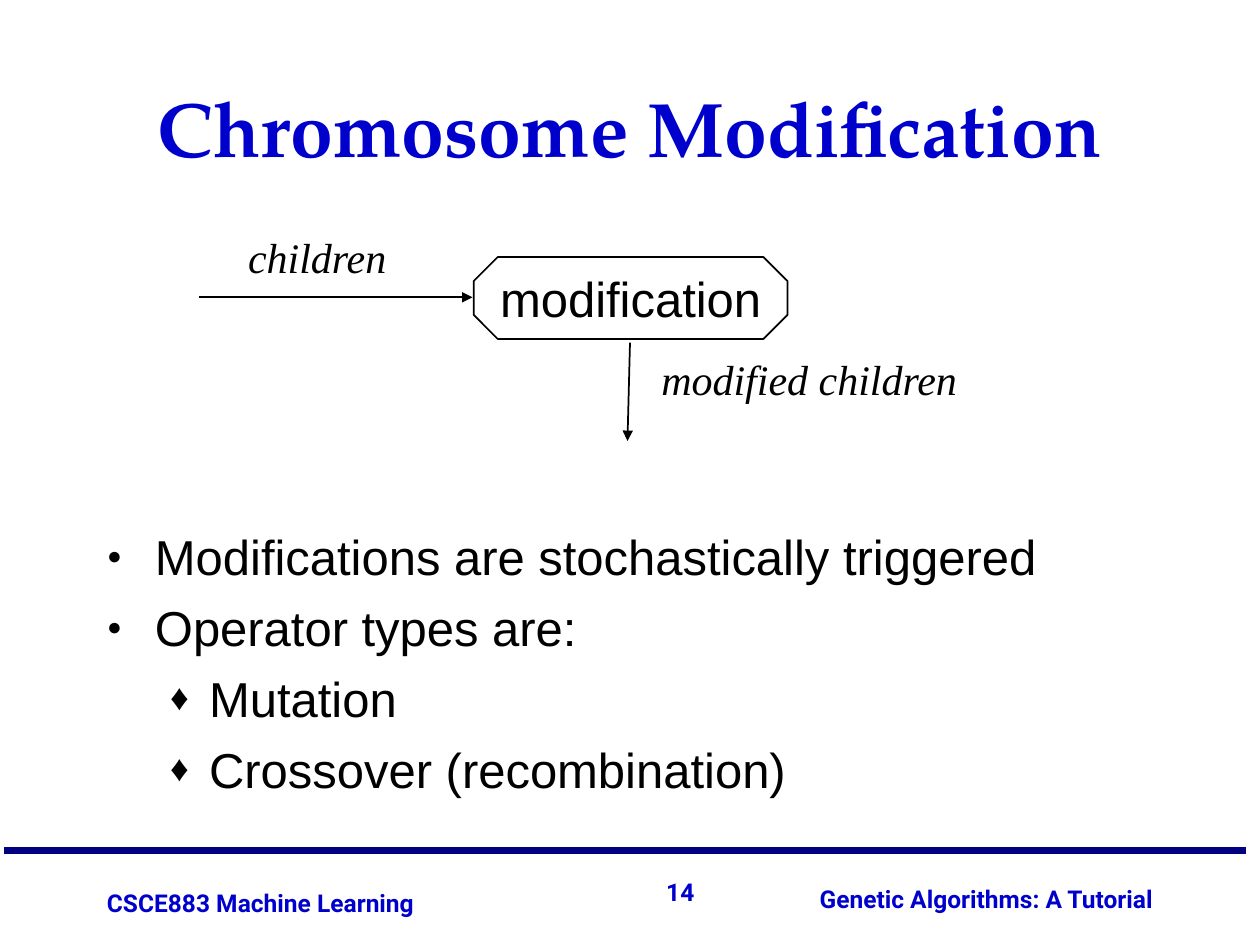
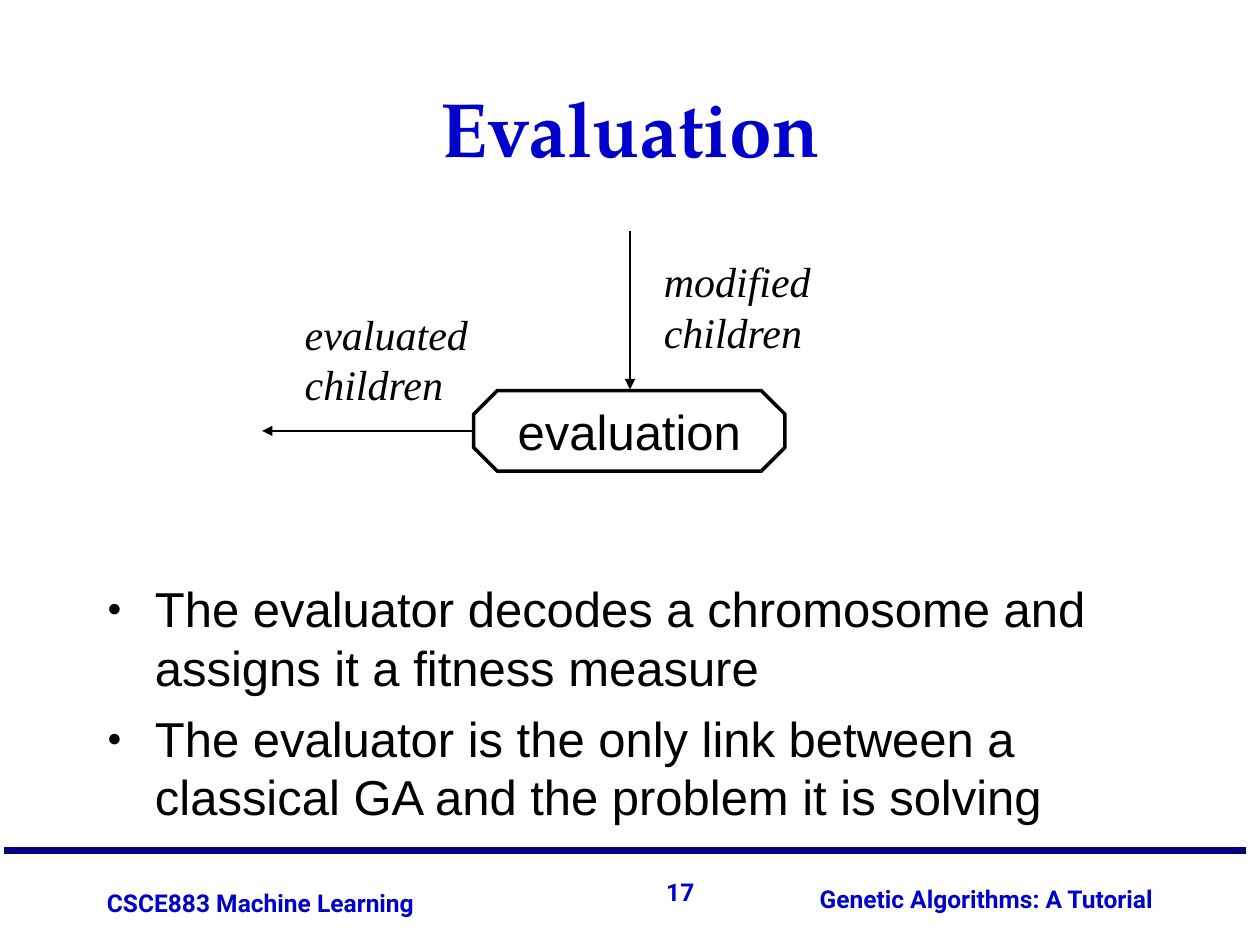
from dataclasses import dataclass

from lxml import etree
from pptx import Presentation
from pptx import util as u
from pptx.dml import color
from pptx.enum import shapes, text
from pptx.oxml import ns

PX = 9144
ALIGN = text.PP_ALIGN
ANCHOR = text.MSO_ANCHOR


@dataclass(frozen=True)
class Theme:
    """Colours, text styles and bullets shared by the slides."""
    ink = color.RGBColor.from_string("000000")
    paper = color.RGBColor.from_string("FFFFFF")
    accent = color.RGBColor.from_string("0000CC")
    rule = color.RGBColor.from_string("000080")
    title = {"name": "TeX Gyre Pagella", "size": u.Pt(44), "bold": True}
    body = {"name": "Arial", "size": u.Pt(28)}
    label = {"name": "Times New Roman", "size": u.Pt(24), "italic": True}
    footer = {"name": "Roboto", "size": u.Pt(14), "bold": True}
    leading = 1.2
    bullets = (
        {"char": "●", "percent": 50, "left": 38, "hang": 38},
        {"char": "♦", "percent": 75, "left": 81, "hang": 31},
    )


THEME = Theme()


def set_values(target, values):
    """Set each named attribute of the target."""
    for name, value in values.items():
        setattr(target, name, value)


def place(shape, left, top, width, height):
    """Move and size a shape in px."""
    set_values(shape, {"left": left * PX, "top": top * PX,
                       "width": width * PX, "height": height * PX})


def write(shape, lines, style, ink, frame, paragraph_format):
    """Fill a shape with formatted paragraphs and return them."""
    text_frame = shape.text_frame
    text_frame.text = "\n".join(lines)
    set_values(text_frame, {"auto_size": text.MSO_AUTO_SIZE.NONE, **frame})
    for paragraph in text_frame.paragraphs:
        set_values(paragraph, paragraph_format)
        for run in paragraph.runs:
            set_values(run.font, style)
            run.font.color.rgb = ink
    return text_frame.paragraphs


def add_text(slide, box, lines, style, ink, frame, paragraph_format):
    """Add a text box."""
    shape = slide.shapes.add_textbox(*(value * PX for value in box))
    write(shape, lines, style, ink, frame, paragraph_format)


def add_label(slide, box, *lines):
    """Add an italic label beside an arrow."""
    add_text(slide, box, lines, THEME.label, THEME.ink, {"word_wrap": False},
             {"line_spacing": u.Pt(THEME.label["size"].pt * THEME.leading)})


def add_line(slide, start, end, ink=THEME.ink, weight=1, arrow=True):
    """Add a straight line, with an arrowhead at its end if wanted."""
    points = (value * PX for value in (*start, *end))
    connector = slide.shapes.add_connector(shapes.MSO_CONNECTOR.STRAIGHT, *points)
    connector.line.color.rgb = ink
    connector.line.width = u.Pt(weight)
    if arrow:
        line = connector.line._get_or_add_ln()
        etree.SubElement(line, ns.qn("a:tailEnd"), type="triangle")
    etree.SubElement(connector._element.spPr, ns.qn("a:effectLst"))


def add_step(slide, box, caption, weight):
    """Add an octagon that names a process step."""
    octagon = slide.shapes.add_shape(shapes.MSO_SHAPE.OCTAGON,
                                     *(value * PX for value in box))
    octagon.shadow.inherit = False
    octagon.fill.solid()
    octagon.fill.fore_color.rgb = THEME.paper
    octagon.line.color.rgb = THEME.ink
    octagon.line.width = u.Pt(weight)
    write(octagon, [caption], THEME.body, THEME.ink,
          {"word_wrap": False, "vertical_anchor": ANCHOR.MIDDLE},
          {"alignment": ALIGN.CENTER})


def set_bullet(paragraph, bullet):
    """Give a paragraph its bullet and hanging indent."""
    properties = paragraph._p.get_or_add_pPr()
    properties.set("marL", str(bullet["left"] * PX))
    properties.set("indent", str(-bullet["hang"] * PX))
    bullet_color = etree.SubElement(properties, ns.qn("a:buClr"))
    etree.SubElement(bullet_color, ns.qn("a:srgbClr"), val=str(THEME.ink))
    etree.SubElement(properties, ns.qn("a:buSzPct"),
                     val=str(bullet["percent"] * 1000))
    etree.SubElement(properties, ns.qn("a:buFont"), typeface="Arial")
    etree.SubElement(properties, ns.qn("a:buChar"), char=bullet["char"])


def fill_list(slide, top, items):
    """Fill the body placeholder with (level, text) items."""
    body = slide.placeholders[1]
    place(body, 75, top, 850, 658 - top)
    paragraphs = write(body, [item for _, item in items], THEME.body, THEME.ink,
                       {"word_wrap": True, "vertical_anchor": ANCHOR.TOP},
                       {"line_spacing": u.Pt(THEME.body["size"].pt * THEME.leading),
                        "space_before": u.Pt(0), "space_after": u.Pt(7)})
    for paragraph, (level, _) in zip(paragraphs, items):
        paragraph.level = level
        set_bullet(paragraph, THEME.bullets[level])


def add_footer(slide, number):
    """Add the rule, course, page number and topic."""
    add_line(slide, (3, 675), (989, 675), THEME.rule, 4.5, arrow=False)
    for box, caption, alignment in (
        ((75, 700, 375, 33), "CSCE883 Machine Learning", ALIGN.LEFT),
        ((441, 690, 120, 36), str(number), ALIGN.RIGHT),
        ((592, 697, 333, 33), "Genetic Algorithms: A Tutorial", ALIGN.RIGHT),
    ):
        add_text(slide, box, [caption], THEME.footer, THEME.accent,
                 {"word_wrap": True, "vertical_anchor": ANCHOR.MIDDLE},
                 {"alignment": alignment})


def start_slide(presentation, heading, number):
    """Add a slide with its title and footer."""
    slide = presentation.slides.add_slide(presentation.slide_layouts[1])
    place(slide.shapes.title, 75, 25, 850, 117)
    write(slide.shapes.title, [heading], THEME.title, THEME.accent,
          {"word_wrap": True, "vertical_anchor": ANCHOR.BOTTOM},
          {"alignment": ALIGN.CENTER})
    add_footer(slide, number)
    return slide


def add_modification(presentation):
    """Build the slide on chromosome modification."""
    slide = start_slide(presentation, "Chromosome Modification", 14)
    add_step(slide, (376, 204, 249, 65), "modification", 1)
    add_line(slide, (158, 236), (375, 236))
    add_line(slide, (500, 272), (498, 350))
    add_label(slide, (187, 179, 131, 50), "children")
    add_label(slide, (515, 276, 256, 50), "modified children")
    fill_list(slide, 413, [
        (0, "Modifications are stochastically triggered"),
        (0, "Operator types are:"),
        (1, "Mutation"),
        (1, "Crossover (recombination)"),
    ])


def add_evaluation(presentation):
    """Build the slide on evaluation."""
    slide = start_slide(presentation, "Evaluation", 17)
    add_step(slide, (376, 310, 247, 64), "evaluation", 2)
    add_line(slide, (500, 183), (500, 309))
    add_line(slide, (376, 342), (208, 342))
    add_label(slide, (232, 240, 149, 90), "evaluated", "children")
    add_label(slide, (517, 198, 136, 90), "modified", "children")
    fill_list(slide, 454, [
        (0, "The evaluator decodes a chromosome and assigns it a fitness measure"),
        (0, "The evaluator is the only link between a classical GA "
            "and the problem it is solving"),
    ])


def main():
    """Build and save the presentation."""
    presentation = Presentation()
    set_values(presentation, {"slide_width": 1000 * PX, "slide_height": 750 * PX})
    add_modification(presentation)
    add_evaluation(presentation)
    presentation.save("out.pptx")


if __name__ == "__main__":
    main()
